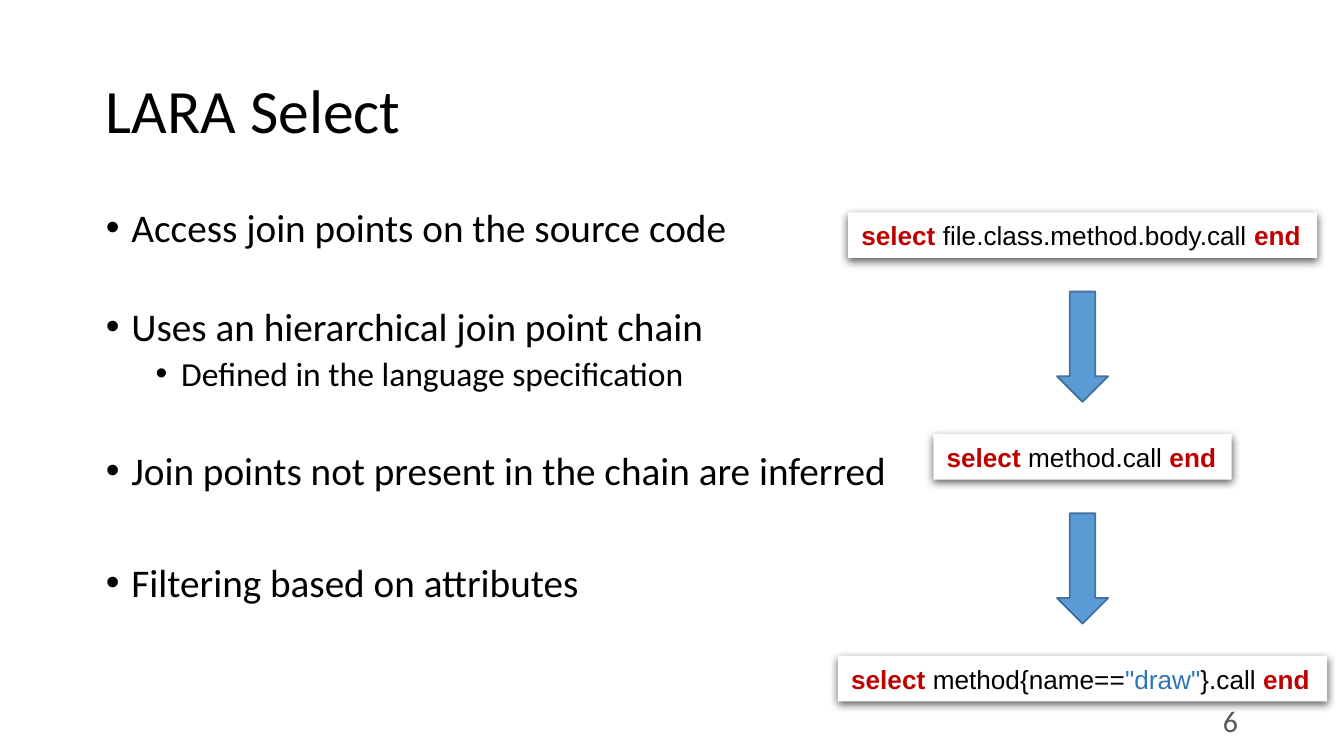
from lxml.etree import SubElement
from pptx import Presentation
from pptx.dml.color import RGBColor
from pptx.enum.shapes import MSO_SHAPE as Preset
from pptx.enum.text import MSO_ANCHOR as Anchor, MSO_AUTO_SIZE as AutoSize, PP_ALIGN as Align
from pptx.oxml.ns import qn
from pptx.util import Inches, Pt

COLORS = {
    "text": "000000", "keyword": "C00000", "literal": "2E75B6", "number": "595959",
    "card": "FFFFFF", "arrow": "5B9BD5", "arrow_edge": "43739E", "shadow": "000000",
}
COLUMNS, ROWS = 100, 56.25
TOPICS = [
    ("Access join points on the source code", 0, 7.5),
    ("Uses an hierarchical join point chain", 0, 30.5),
    ("Defined in the language specification", 1, 3.8),
    ("Join points not present in the chain are inferred", 0, 31),
    ("Filtering based on attributes", 0, 37.5),
]
QUERIES = [
    (34.9, [("file.class.method.body.call ", "text")]),
    (22.2, [("method.call ", "text")]),
    (36.4, [("method{name==", "text"), ('"draw"', "literal"), ("}.call ", "text")]),
]
CHAIN_CENTER, CHAIN_TOP, CHAIN_STEP = 80.55, 15.8, 16.5


def rgb(name):
    return RGBColor.from_string(COLORS[name])


def write(paragraph, text, size=14, font="Calibri", color="text", bold=False):
    run = paragraph.add_run()
    run.text = text
    run.font.size = Pt(size)
    run.font.name = font
    run.font.bold = bold
    run.font.color.rgb = rgb(color)


class SelectSlide:
    """Holds the slide, its grid and the style of each kind of element."""

    def __init__(self, deck):
        self.column = deck.slide_width / COLUMNS
        self.row = deck.slide_height / ROWS
        self.slide = deck.slides.add_slide(deck.slide_layouts[1])
        self.shapes = self.slide.shapes

    def area(self, left, top, width, height):
        return (round(left * self.column), round(top * self.row),
                round(width * self.column), round(height * self.row))

    def place(self, holder, area, anchor):
        holder.left, holder.top, holder.width, holder.height = self.area(*area)
        frame = holder.text_frame
        frame.auto_size = AutoSize.NONE
        frame.word_wrap = True
        frame.vertical_anchor = anchor
        return frame

    def title(self, text, *area):
        heading = self.place(self.shapes.title, area, Anchor.MIDDLE).paragraphs[0]
        heading.alignment = Align.LEFT
        heading.line_spacing = 0.9
        write(heading, text, size=33)

    def bullets(self, topics, *area):
        frame = self.place(self.slide.placeholders[1], area, Anchor.TOP)
        for index, (text, level, gap) in enumerate(topics):
            topic = frame.add_paragraph() if index else frame.paragraphs[0]
            topic.level = level
            topic.line_spacing = 0.9
            topic.space_before = Pt(gap)
            write(topic, text, size=18 if level else 21)
            properties = topic._p.get_or_add_pPr()
            properties.set("marL", str(Inches(0.56 if level else 0.19)))
            properties.set("indent", str(-Inches(0.19)))
            SubElement(properties, qn("a:buFont"), typeface="Arial")
            SubElement(properties, qn("a:buChar"), char="•")

    def query(self, parts, *area):
        card = self.shapes.add_shape(Preset.RECTANGLE, *self.area(*area))
        card.fill.solid()
        card.fill.fore_color.rgb = rgb("card")
        card.line.fill.background()
        self.cast_shadow(card)
        frame = card.text_frame
        frame.word_wrap = False
        frame.auto_size = AutoSize.SHAPE_TO_FIT_TEXT
        frame.vertical_anchor = Anchor.MIDDLE
        code = frame.paragraphs[0]
        code.alignment = Align.LEFT
        for text, color in [("select ", "keyword"), *parts, ("end", "keyword")]:
            write(code, text, font="Arial", color=color, bold=color == "keyword")

    def cast_shadow(self, card):
        effects = SubElement(card._element.spPr, qn("a:effectLst"))
        shadow = SubElement(effects, qn("a:outerShdw"), blurRad=str(Pt(4.5)),
                            dist=str(Pt(1.5)), dir="5400000", rotWithShape="0")
        tint = SubElement(shadow, qn("a:srgbClr"), val=COLORS["shadow"])
        SubElement(tint, qn("a:alpha"), val="63000")

    def arrow(self, *area):
        step = self.shapes.add_shape(Preset.DOWN_ARROW, *self.area(*area))
        step.shadow.inherit = False
        step.fill.solid()
        step.fill.fore_color.rgb = rgb("arrow")
        step.line.color.rgb = rgb("arrow_edge")
        step.line.width = Pt(1)

    def page_number(self, text, *area):
        footer = self.shapes.add_textbox(*self.area(*area))
        page = self.place(footer, area, Anchor.MIDDLE).paragraphs[0]
        page.alignment = Align.RIGHT
        write(page, text, size=16, color="number")


def main():
    deck = Presentation()
    deck.slide_width = Inches(10)
    deck.slide_height = deck.slide_width * 9 // 16
    board = SelectSlide(deck)
    board.title("LARA Select", 6.88, 3, 86.25, 10.9)
    board.bullets(TOPICS, 6.88, 15, 61.2, 35.7)
    board.page_number("6", 70.6, 52.1, 22.5, 3)
    for index, (width, parts) in enumerate(QUERIES):
        top = CHAIN_TOP + index * CHAIN_STEP
        board.query(parts, CHAIN_CENTER - width / 2, top, width, 3.4)
        if index < len(QUERIES) - 1:
            board.arrow(CHAIN_CENTER - 1.9, top + 5.9, 3.8, 8.2)
    deck.save("out.pptx")


if __name__ == "__main__":
    main()
